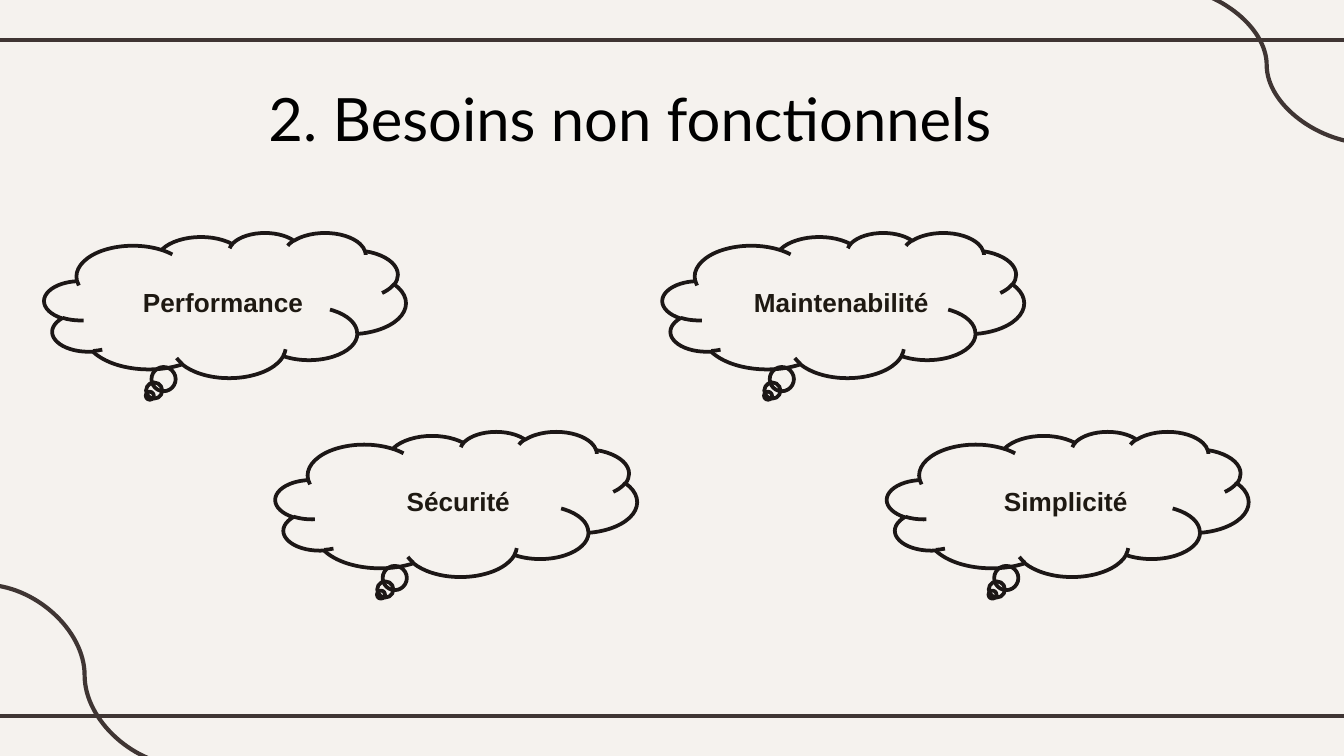
import pptx
import pptx.dml.color
import pptx.enum.shapes
import pptx.enum.text
import pptx.oxml.ns
import pptx.util
from lxml import etree

Inches = pptx.util.Inches
Pt = pptx.util.Pt
RGBColor = pptx.dml.color.RGBColor
CONNECTOR = pptx.enum.shapes.MSO_CONNECTOR
ANCHOR = pptx.enum.text.MSO_ANCHOR
CENTER = pptx.enum.text.PP_ALIGN.CENTER

CREAM = RGBColor(0xF5, 0xF2, 0xEE)
BROWN = RGBColor(0x3F, 0x35, 0x33)
OUTLINE = RGBColor(0x1C, 0x17, 0x16)
LABEL = RGBColor(0x1E, 0x19, 0x12)
BLACK = RGBColor(0, 0, 0)

CLOUD_W, CLOUD_H = 2.69, 1.08
UPPER_ROW, LOWER_ROW = 1.73, 3.21
# label, left, top, left inset
CLOUDS = [
    ("Sécurité", 2.05, LOWER_ROW, 0.32),
    ("Performance", 0.33, UPPER_ROW, 0.26),
    ("Maintenabilité", 4.93, UPPER_ROW, 0.26),
    ("Simplicité", 6.6, LOWER_ROW, 0.26),
]


def add_line(s, kind, x1, y1, x2, y2):
    line = s.shapes.add_connector(kind, Inches(x1), Inches(y1), Inches(x2), Inches(y2))
    line.line.color.rgb = BROWN
    line.line.width = Pt(2.25)
    etree.SubElement(line._element.spPr, pptx.oxml.ns.qn("a:effectLst"))


def write_text(tf, text, font, size, color, bold=False):
    """Write one centred paragraph."""
    tf.word_wrap = True
    p = tf.paragraphs[0]
    p.alignment = CENTER
    r = p.add_run()
    r.text = text
    r.font.name = font
    r.font.size = Pt(size)
    r.font.bold = bold
    r.font.color.rgb = color


def add_title(s, text):
    tf = s.shapes.add_textbox(Inches(1.11), Inches(0.51), Inches(7.16), Inches(1.22)).text_frame
    tf.margin_left = tf.margin_right = tf.margin_top = tf.margin_bottom = Inches(0.1)
    tf.vertical_anchor = ANCHOR.TOP
    write_text(tf, text, "Lato", 32, BLACK)


def add_cloud(s, label, left, top, inset):
    sp = s.shapes.add_shape(
        pptx.enum.shapes.MSO_SHAPE.CLOUD_CALLOUT,
        Inches(left), Inches(top), Inches(CLOUD_W), Inches(CLOUD_H),
    )
    sp.shadow.inherit = False
    sp.fill.background()
    sp.line.color.rgb = OUTLINE
    sp.line.width = Pt(2)
    tf = sp.text_frame
    tf.margin_left = Inches(inset)
    tf.vertical_anchor = ANCHOR.MIDDLE
    write_text(tf, label, "Arial", 14, LABEL, bold=True)


def main():
    prs = pptx.Presentation()
    prs.slide_width = Inches(10)
    prs.slide_height = Inches(10 * 9 / 16)
    s = prs.slides.add_slide(prs.slide_layouts[6])
    s.background.fill.solid()
    s.background.fill.fore_color.rgb = CREAM

    for y in (0.3, 5.33):
        add_line(s, CONNECTOR.STRAIGHT, 10.16, y, 0, y)
    add_line(s, CONNECTOR.CURVE, -0.12, 4.35, 1.38, 5.7)
    add_line(s, CONNECTOR.CURVE, 8.65, -0.1, 10.2, 1.07)

    add_title(s, "2. Besoins non fonctionnels")
    for cloud in CLOUDS:
        add_cloud(s, *cloud)
    prs.save("out.pptx")


if __name__ == "__main__":
    main()
